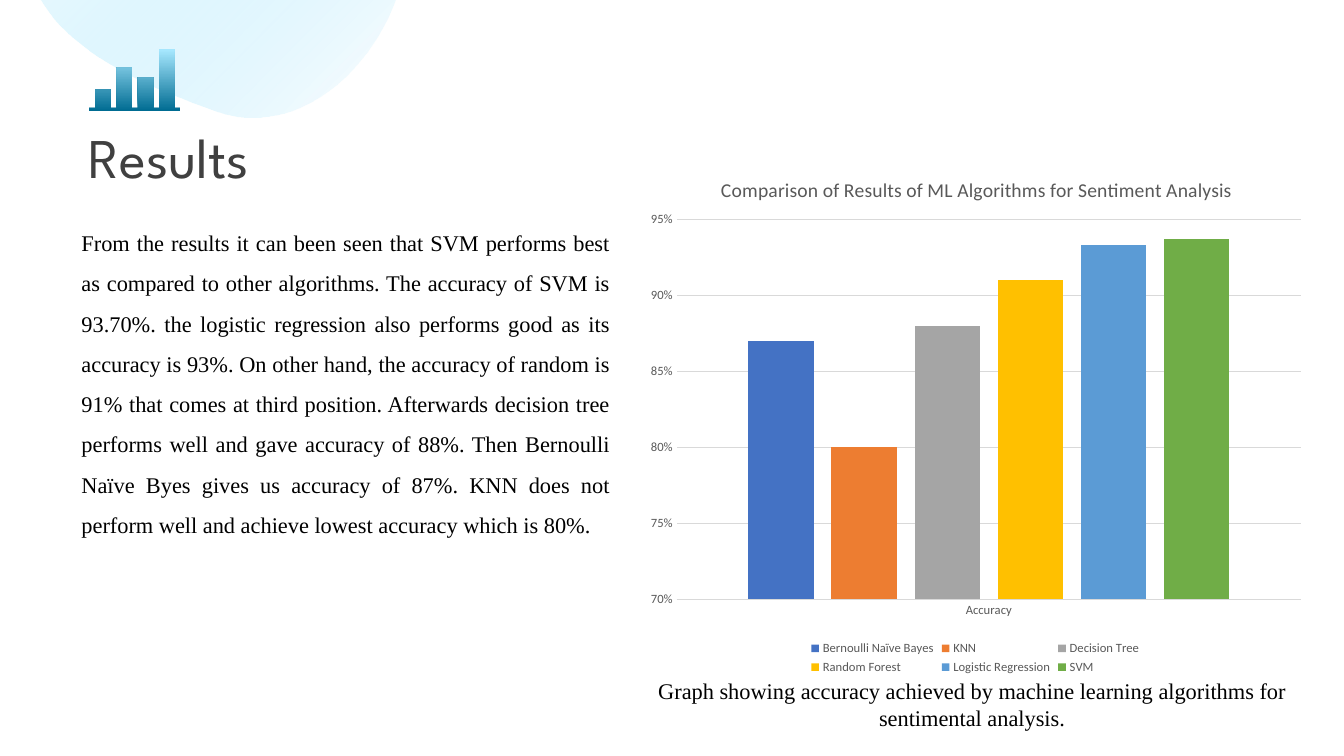
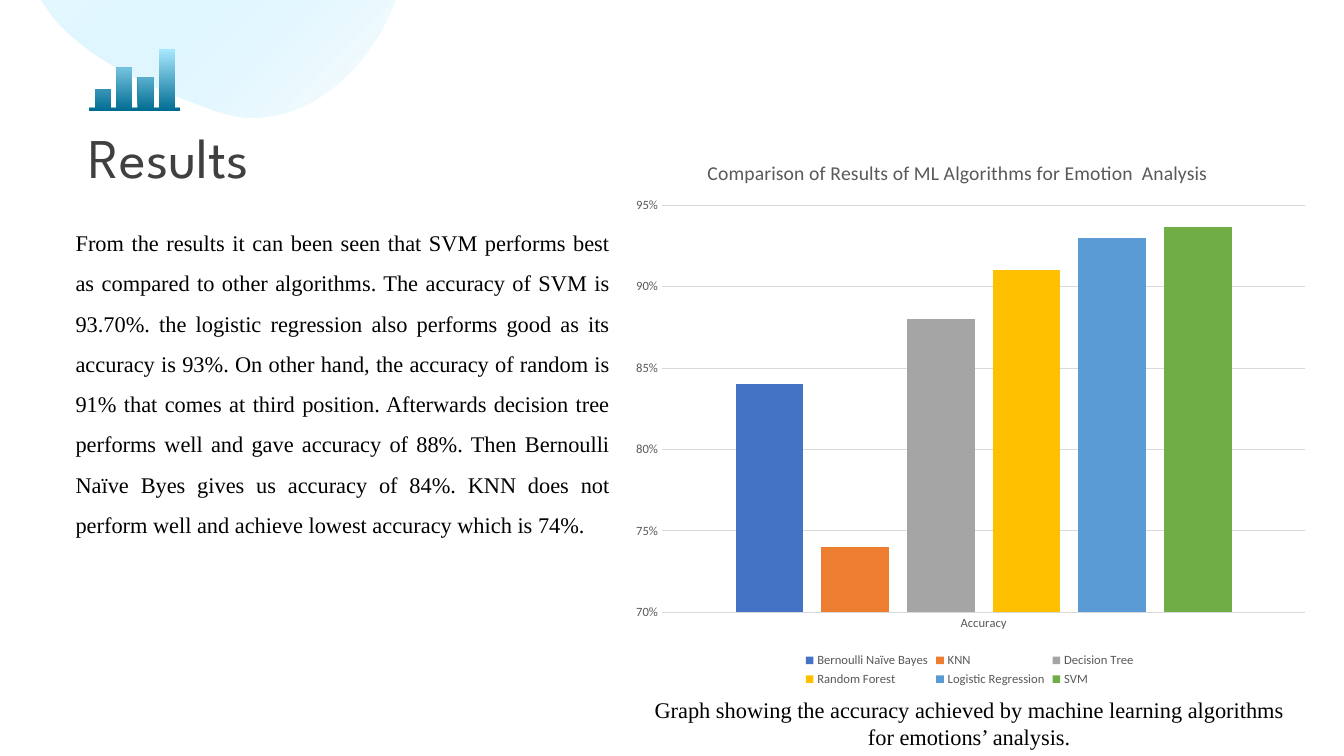
from dataclasses import dataclass

from lxml.etree import SubElement
from pptx import Presentation
from pptx.chart.data import CategoryChartData
from pptx.dml.color import RGBColor
from pptx.enum.chart import XL_CHART_TYPE as ChartType
from pptx.enum.chart import XL_LEGEND_POSITION as LegendPos
from pptx.enum.chart import XL_TICK_MARK as TickMark
from pptx.enum.text import MSO_ANCHOR as Anchor
from pptx.enum.text import MSO_AUTO_SIZE as AutoSize
from pptx.enum.text import PP_ALIGN as Align
from pptx.oxml import parse_xml
from pptx.oxml.ns import nsdecls, qn
from pptx.util import Pt

COLORS = {
    "title": "404040", "text": "000000", "chart_text": "595959",
    "grid": "D9D9D9", "white": "FFFFFF", "sky": "A7E8FF", "deep": "006C92",
}
SERIES_COLORS = {
    "Bernoulli Naïve Bayes": "4472C4", "KNN": "ED7D31",
    "Decision Tree": "A5A5A5", "Random Forest": "FFC000",
    "Logistic Regression": "5B9BD5", "SVM": "70AD47",
}
TITLE_FONT, TEXT_FONT, CHART_FONT = "League Spartan", "Times New Roman", "Calibri"

BODY = (
    "From the results it can been seen that SVM performs best as compared to "
    "other algorithms. The accuracy of SVM is 93.70%. the logistic regression "
    "also performs good as its accuracy is 93%. On other hand, the accuracy of "
    "random is 91% that comes at third position. Afterwards decision tree "
    "performs well and gave accuracy of 88%. Then Bernoulli Naïve Byes gives us "
    "accuracy of {bayes:.0%}. KNN does not perform well and achieve lowest "
    "accuracy which is {knn:.0%}."
)


@dataclass(frozen=True)
class Box:
    left: float
    top: float
    width: float
    height: float

    def emu(self) -> tuple:
        return Pt(self.left), Pt(self.top), Pt(self.width), Pt(self.height)


@dataclass(frozen=True)
class ResultSlide:
    chart_title: str
    accuracy: tuple
    caption: str
    body_box: Box
    chart_box: Box
    caption_box: Box
    plot_height: float


TITLE_BOX = Box(63.4, 89.3, 548, 51)
RESULTS = (
    ResultSlide(
        "Comparison of Results of ML Algorithms for Sentiment Analysis",
        (0.87, 0.8, 0.88, 0.91, 0.933, 0.937),
        "Graph showing accuracy achieved by machine learning algorithms for "
        "sentimental analysis.",
        Box(51, 150.5, 392, 324), Box(454.3, 108, 484.6, 376.6),
        Box(454.3, 480.2, 480.2, 46), 0.72,
    ),
    ResultSlide(
        "Comparison of Results of ML Algorithms for Emotion  Analysis",
        (0.84, 0.74, 0.88, 0.91, 0.93, 0.937),
        "Graph showing the accuracy achieved by machine learning algorithms "
        "for emotions’ analysis.",
        Box(46.8, 150.5, 396, 294.5), Box(442.8, 95, 499.7, 398.2),
        Box(452.2, 494, 480.2, 46), 0.73,
    ),
)


def rgb(name: str) -> RGBColor:
    return RGBColor.from_string(COLORS[name])


# Text
def style_font(font, name: str, size: float, color: str) -> None:
    font.name, font.size, font.bold = name, Pt(size), False
    font.color.rgb = rgb(color)


def write(s, box: Box, text: str, font: tuple, align: Align, spacing: float) -> None:
    s.left, s.top, s.width, s.height = box.emu()
    tf = s.text_frame
    tf.text = text
    tf.word_wrap, tf.auto_size = True, AutoSize.NONE
    p = tf.paragraphs[0]
    p.alignment, p.line_spacing, p.space_before = align, spacing, Pt(0)
    style_font(p.runs[0].font, *font)


def clear_bullet(p) -> None:
    pPr = p._p.get_or_add_pPr()
    pPr.set("marL", "0")
    pPr.set("indent", "0")
    SubElement(pPr, qn("a:buNone"))


# Decoration
def bezier(p0: tuple, p1: tuple, p2: tuple, p3: tuple, steps: int = 24) -> list:
    points = []
    for i in range(1, steps + 1):
        t = i / steps
        weights = ((1 - t) ** 3, 3 * t * (1 - t) ** 2, 3 * t * t * (1 - t), t ** 3)
        points.append(tuple(
            sum(w * c for w, c in zip(weights, axis)) for axis in zip(p0, p1, p2, p3)
        ))
    return points


def add_outline(slide, points: list, colors: tuple, angle: float):
    emu = [(Pt(x), Pt(y)) for x, y in points]
    builder = slide.shapes.build_freeform(*emu[0])
    builder.add_line_segments(emu[1:], close=True)
    s = builder.convert_to_shape()
    s.shadow.inherit = False
    s.line.fill.background()
    s.fill.gradient()
    s.fill.gradient_angle = angle
    for stop, color in zip(s.fill.gradient_stops, colors):
        stop.color.rgb = rgb(color)
    return s


def add_blob(slide) -> None:
    curves = (
        ((28.8, 0), (51.8, 39.6), (106.6, 62.6), (153.4, 79.2)),
        ((153.4, 79.2), (162.7, 82.8), (172, 84.2), (180.7, 84.2)),
        ((180.7, 84.2), (226.1, 84.2), (265.7, 44.6), (282.2, 0)),
    )
    points = [curves[0][0]]
    for curve in curves:
        points += bezier(*curve)
    s = add_outline(slide, points, ("white", "sky"), 135)
    sky = s._element.spPr.findall(".//" + qn("a:srgbClr"))[-1]
    SubElement(sky, qn("a:alpha")).set("val", "29000")


def add_bar_icon(slide) -> None:
    left, right, top, bottom = 63.5, 128.9, 77.2, 79.3
    first, step, width = 68, 15.25, 11
    points = [(left, bottom), (left, top)]
    for i, bar_top in enumerate((64, 48.3, 55.4, 35.3)):
        x = first + i * step
        points += [(x, top), (x, bar_top), (x + width, bar_top), (x + width, top)]
    points += [(right, top), (right, bottom)]
    add_outline(slide, points, ("deep", "sky"), 90)


# Chart
def set_layout(parent, index: int, inner: bool, **fractions: float) -> None:
    for old in parent.findall(qn("c:layout")):
        parent.remove(old)
    target = '<c:layoutTarget val="inner"/>' if inner else ""
    modes = "".join(f'<c:{k}Mode val="edge"/>' for k in ("x", "y"))
    sizes = "".join(f'<c:{k} val="{v}"/>' for k, v in fractions.items())
    parent.insert(index, parse_xml(
        f'<c:layout {nsdecls("c")}><c:manualLayout>{target}{modes}{sizes}'
        "</c:manualLayout></c:layout>"
    ))


def style_axis(axis) -> None:
    axis.major_tick_mark = axis.minor_tick_mark = TickMark.NONE
    style_font(axis.tick_labels.font, CHART_FONT, 9, "chart_text")


def add_accuracy_chart(slide, result: ResultSlide) -> None:
    data = CategoryChartData(number_format="0%")
    data.categories = ["Accuracy"]
    for name, value in zip(SERIES_COLORS, result.accuracy):
        data.add_series(name, [value])
    chart = slide.shapes.add_chart(
        ChartType.COLUMN_CLUSTERED, *result.chart_box.emu(), data
    ).chart
    style_font(chart.font, CHART_FONT, 10, "text")

    chart.has_title = True
    p = chart.chart_title.text_frame.paragraphs[0]
    p.text = result.chart_title
    style_font(p.runs[0].font, CHART_FONT, 14, "chart_text")
    set_layout(chart.chart_title._element, 1, False, x=0.12, y=0.04)

    plot = chart.plots[0]
    plot.gap_width, plot.overlap, plot.vary_by_categories = 219, -27, False
    for series, color in zip(plot.series, SERIES_COLORS.values()):
        series.format.fill.solid()
        series.format.fill.fore_color.rgb = RGBColor.from_string(color)
    set_layout(chart._chartSpace.chart.plotArea, 0, True,
               x=0.06, y=0.13, w=0.92, h=result.plot_height)

    values, cats = chart.value_axis, chart.category_axis
    for axis in (values, cats):
        style_axis(axis)
    values.minimum_scale, values.maximum_scale, values.major_unit = 0.7, 0.95, 0.05
    values.tick_labels.number_format = "0%"
    values.tick_labels.number_format_is_linked = False
    values.format.line.fill.background()
    values.has_major_gridlines = True
    for line in (values.major_gridlines.format.line, cats.format.line):
        line.color.rgb = rgb("grid")
        line.width = Pt(0.75)

    chart.has_legend = True
    chart.legend.position = LegendPos.BOTTOM
    chart.legend.include_in_layout = False
    style_font(chart.legend.font, CHART_FONT, 9, "chart_text")


# Slides
def add_result_slide(prs, result: ResultSlide) -> None:
    slide = prs.slides.add_slide(prs.slide_layouts[1])
    add_blob(slide)
    add_bar_icon(slide)

    title = slide.shapes.title
    write(title, TITLE_BOX, "Results", (TITLE_FONT, 40, "title"), Align.LEFT, 0.9)
    title.text_frame.margin_left = Pt(0)
    title.text_frame.vertical_anchor = Anchor.MIDDLE

    text_font = (TEXT_FONT, 16, "text")
    bayes, knn = result.accuracy[:2]
    body = slide.placeholders[1]
    write(body, result.body_box, BODY.format(bayes=bayes, knn=knn),
          text_font, Align.JUSTIFY, 1.5)
    clear_bullet(body.text_frame.paragraphs[0])

    add_accuracy_chart(slide, result)
    caption = slide.shapes.add_textbox(*result.caption_box.emu())
    write(caption, result.caption_box, result.caption, text_font, Align.CENTER, 1.0)


def main() -> None:
    prs = Presentation()
    prs.slide_width, prs.slide_height = Pt(960), Pt(540)
    for result in RESULTS:
        add_result_slide(prs, result)
    prs.save("out.pptx")


if __name__ == "__main__":
    main()
